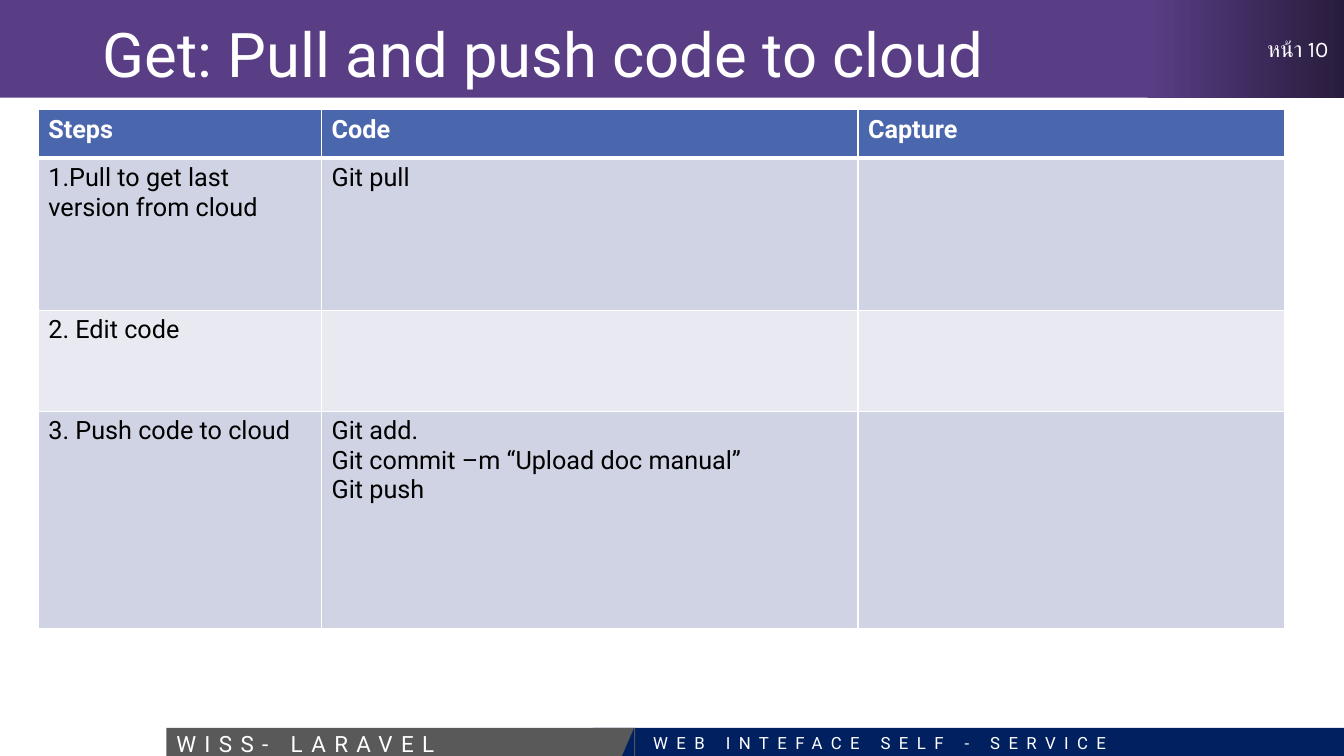
import pptx
import pptx.util
import pptx.dml.color
import pptx.enum.shapes
import pptx.enum.text
import pptx.oxml
import pptx.oxml.ns

Inches = pptx.util.Inches
Pt = pptx.util.Pt
SHAPE = pptx.enum.shapes.MSO_SHAPE
ALIGN = pptx.enum.text.PP_ALIGN
ANCHOR = pptx.enum.text.MSO_ANCHOR

NAVY, GREY, WHITE = "002060", "595959", "FFFFFF"
PURPLE, DARK = "593E86", "281C3C"
HEAD, BANDS = "4A66AC", ["D0D3E3", "E9EAF1"]

COLS = [2.81, 5.32, 4.23]
ROWS = [0.48, 1.51, 1, 2.16]
STEPS = [
    ["Steps", "Code", "Capture"],
    ["1.Pull to get last version from cloud", "Git pull", ""],
    ["2. Edit code", "", ""],
    ["3. Push code to cloud",
     "Git add.\nGit commit –m “Upload doc manual”\nGit push", ""],
]


def rgb(code):
    return pptx.dml.color.RGBColor.from_string(code)


def write(frame, text, size=18, color=WHITE, font="Roboto", bold=False,
          gap=0, align=ALIGN.LEFT, lead=None):
    """Fill a text frame, one paragraph per line; gap is letter spacing in points."""
    for i, line in enumerate(text.split("\n")):
        para = frame.paragraphs[0] if i == 0 else frame.add_paragraph()
        para.alignment = align
        if lead:
            para.line_spacing = lead
        run = para.add_run()
        run.text = line
        run.font.name = font
        run.font.size = Pt(size)
        run.font.bold = bold
        run.font.color.rgb = rgb(color)
        if gap:
            run.font._element.set("spc", str(gap * 100))


def shape(slide, kind, box, fill):
    item = slide.shapes.add_shape(kind, *map(Inches, box))
    item.shadow.inherit = False
    item.line.fill.background()
    item.fill.solid()
    item.fill.fore_color.rgb = rgb(fill)
    return item


def label(slide, box, text, **style):
    frame = slide.shapes.add_textbox(*map(Inches, box)).text_frame
    frame.word_wrap = True
    write(frame, text, **style)


def border(cell, top, bottom):
    """Draw white cell edges; top and bottom are widths in points."""
    props = cell._tc.get_or_add_tcPr()
    for side, width in zip("LRTB", [1, 1, top, bottom]):
        props.append(pptx.oxml.parse_xml(
            f'<a:ln{side} {pptx.oxml.ns.nsdecls("a")} w="{Pt(width)}">'
            f'<a:solidFill><a:srgbClr val="{WHITE}"/></a:solidFill></a:ln{side}>'))


def footer(slide):
    shape(slide, SHAPE.RECTANGLE, (5.88, 7.22, 7.46, 0.28), NAVY)
    shape(slide, SHAPE.RECTANGLE, (1.65, 7.22, 4.65, 0.28), GREY)
    wedge = shape(slide, SHAPE.RIGHT_TRIANGLE, (6.17, 7.22, 0.12, 0.28), NAVY)
    wedge._element.spPr.get_or_add_xfrm().set("flipH", "1")
    label(slide, (1.65, 7.19, 4.51, 0.37), "WISS- LARAVEL", size=16, gap=6)
    label(slide, (6.38, 7.22, 5.01, 0.3), "WEB INTEFACE SELF - SERVICE",
          size=12, gap=6)


def header(slide):
    shape(slide, SHAPE.RECTANGLE, (0, 0, 13.33, 0.97), PURPLE)
    page = shape(slide, SHAPE.PARALLELOGRAM, (11.38, 0, 1.96, 0.97), PURPLE)
    page.adjustments[0] = 0
    page.fill.gradient()
    page.fill.gradient_angle = 0
    for stop, color in zip(page.fill.gradient_stops, [PURPLE, DARK]):
        stop.color.rgb = rgb(color)
    frame = page.text_frame
    frame.margin_left = frame.margin_right = 0
    frame.margin_top = frame.margin_bottom = 0
    frame.vertical_anchor = ANCHOR.MIDDLE
    write(frame, "หน้า 10", size=16, font="Karla", align=ALIGN.RIGHT)


def heading(slide, text):
    title = slide.shapes.title
    title.left, title.top = Inches(0.92), Inches(0)
    title.width, title.height = Inches(11.5), Inches(1.14)
    frame = title.text_frame
    frame.auto_size = pptx.enum.text.MSO_AUTO_SIZE.NONE
    frame.vertical_anchor = ANCHOR.MIDDLE
    write(frame, text, size=44, lead=0.9)
    slide.shapes._spTree.append(title._element)  # in front of the header band


def table(slide):
    grid = slide.shapes.add_table(
        len(ROWS), len(COLS), Inches(0.38), Inches(1.09),
        Inches(sum(COLS)), Inches(sum(ROWS))).table
    for col, width in zip(grid.columns, COLS):
        col.width = Inches(width)
    for r, texts in enumerate(STEPS):
        grid.rows[r].height = Inches(ROWS[r])
        first = r == 0
        for c, text in enumerate(texts):
            cell = grid.cell(r, c)
            border(cell, 3 if r == 1 else 1, 3 if first else 1)
            cell.fill.solid()
            cell.fill.fore_color.rgb = rgb(HEAD if first else BANDS[(r - 1) % 2])
            if text:
                write(cell.text_frame, text, bold=first,
                      color=WHITE if first else "000000")


def main():
    deck = pptx.Presentation()
    deck.slide_width, deck.slide_height = Inches(13.33), Inches(7.5)
    slide = deck.slides.add_slide(deck.slide_layouts.get_by_name("Title Only"))
    footer(slide)
    header(slide)
    heading(slide, "Get: Pull and push code to cloud")
    table(slide)
    deck.save("out.pptx")


if __name__ == "__main__":
    main()
